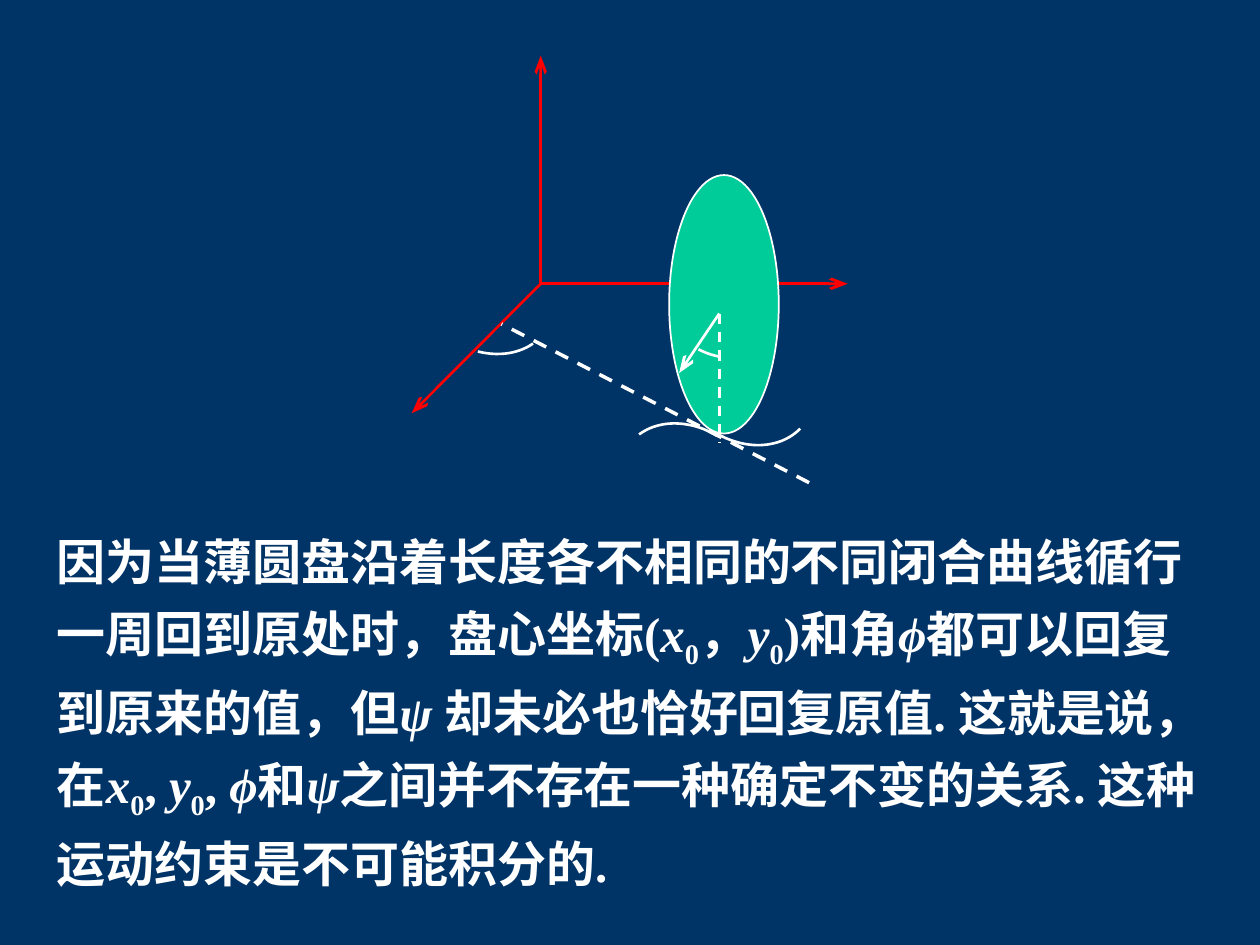
from math import cos, radians, sin

from pptx import Presentation
from pptx.dml.color import RGBColor
from pptx.enum.dml import MSO_LINE
from pptx.enum.shapes import MSO_CONNECTOR, MSO_SHAPE
from pptx.enum.text import MSO_AUTO_SIZE
from pptx.oxml.ns import qn
from pptx.util import Cm, Pt
from lxml.etree import SubElement

NAVY = RGBColor(0x00, 0x33, 0x66)
WHITE = RGBColor(0xFF, 0xFF, 0xFF)
RED = RGBColor(0xFF, 0x00, 0x00)
GREEN = RGBColor(0x00, 0xCC, 0x99)
FONT = "Times New Roman"
STEPS = 24  # segments drawn for each curve

# Axes and disc, in cm from the corner of the figure
ORIGIN = (2.6, 4.6)
AXIS_TIPS = [(8.79, 4.6), (2.6, 0), (0, 7.21)]
DISC = (5.19, 2.41, 2.21, 5.21)
CENTRE = (6.2, 5.2)

# Arcs: rotation, middle of the frame, hub of the arc, cubic control points
ARCS = [
    # angle phi
    (25.7, (1.87, 5.56), (1.58, 4.77),
     [(1.33, 5.97), (1.73, 6.07), (2.14, 6.02), (2.44, 5.81)]),
    # angle psi
    (47.7, (6.13, 5.47), (6.2, 4.75),
     [(5.77, 5.92), (5.9, 5.99), (6.05, 6.04), (6.2, 6.07)]),
    # track behind the disc
    (213.1, (5.28, 7.81), (5.52, 8.68),
     [(6.15, 7.67), (5.62, 7.34), (4.98, 7.34), (4.58, 7.64)]),
    # track ahead of the disc
    (26.9, (7.05, 7.4), (6.79, 6.6),
     [(6.1, 7.59), (6.69, 7.95), (7.4, 7.95), (7.83, 7.52)]),
]

# Runs of the paragraph with their style
PLAIN, ITALIC, SUB = "plain", "italic", "sub"
SENTENCE = [
    ("因为当薄圆盘沿着长度各不相同的不同闭合曲线循行一周回到原处时，盘心坐标(", PLAIN),
    ("x", ITALIC), ("0", SUB), ("，", PLAIN), ("y", ITALIC), ("0", SUB),
    (")和角", PLAIN), ("ϕ", ITALIC), ("都可以回复到原来的值，但", PLAIN),
    ("ψ ", ITALIC), ("却未必也恰好回复原值. 这就是说，在", PLAIN),
    ("x", ITALIC), ("0", SUB), (", ", PLAIN), ("y", ITALIC), ("0", SUB),
    (", ", PLAIN), ("ϕ", ITALIC), ("和", PLAIN), ("ψ", ITALIC),
    ("之间并不存在一种确定不变的关系. 这种运动约束是不可能积分的.", PLAIN),
]


def add_line(page, corner, start, end, color, width=1.5, dashed=False, arrow=False):
    left, top = corner
    line = page.shapes.add_connector(
        MSO_CONNECTOR.STRAIGHT,
        Cm(left + start[0]), Cm(top + start[1]), Cm(left + end[0]), Cm(top + end[1]))
    line.line.color.rgb = color
    line.line.width = Pt(width)
    if dashed:
        line.line.dash_style = MSO_LINE.DASH
    if arrow:
        SubElement(line.line._get_or_add_ln(), qn("a:tailEnd"), type="arrow", len="lg")
    SubElement(line._element.spPr, qn("a:effectLst"))


def curve_point(controls, t):
    weights = ((1 - t) ** 3, 3 * t * (1 - t) ** 2, 3 * t ** 2 * (1 - t), t ** 3)
    return [sum(w * point[axis] for w, point in zip(weights, controls)) for axis in (0, 1)]


def add_arc(page, corner, angle, middle, hub, controls):
    turn = radians(angle)

    def unturned(point):
        """Place a point as it lies before the shape is rotated."""
        x, y = point[0] - middle[0], point[1] - middle[1]
        return (Cm(corner[0] + middle[0] + x * cos(turn) + y * sin(turn)),
                Cm(corner[1] + middle[1] - x * sin(turn) + y * cos(turn)))

    points = [unturned(curve_point(controls, step / STEPS)) for step in range(STEPS + 1)]
    # The hub belongs to the frame, so the arc turns about the middle
    builder = page.shapes.build_freeform(*unturned(hub))
    builder.move_to(*points[0])
    builder.add_line_segments(points[1:], close=False)
    arc = builder.convert_to_shape()
    arc.rotation = angle
    arc.shadow.inherit = False
    arc.fill.background()
    arc.line.color.rgb = WHITE
    arc.line.width = Pt(1.5)


def add_figure(page, left, top):
    corner = (left, top)
    # Coordinate axes
    for tip in AXIS_TIPS:
        add_line(page, corner, ORIGIN, tip, RED, arrow=True)
    # Rolling disc
    x, y, width, height = DISC
    disc = page.shapes.add_shape(
        MSO_SHAPE.OVAL, Cm(left + x), Cm(top + y), Cm(width), Cm(height))
    disc.shadow.inherit = False
    disc.fill.solid()
    disc.fill.fore_color.rgb = GREEN
    disc.line.color.rgb = WHITE
    disc.line.width = Pt(1)
    # Vertical radius, turning radius and direction of travel
    add_line(page, corner, CENTRE, (6.2, 7.8), WHITE, dashed=True)
    add_line(page, corner, CENTRE, (5.39, 6.4), WHITE, arrow=True)
    add_line(page, corner, (8.01, 8.61), (1.81, 5.41), WHITE, width=2, dashed=True)
    # Angle arcs and track
    for arc in ARCS:
        add_arc(page, corner, *arc)


def add_explanation(page, left, top, width, height):
    box = page.shapes.add_textbox(Cm(left), Cm(top), Cm(width), Cm(height))
    frame = box.text_frame
    frame.word_wrap = True
    frame.auto_size = MSO_AUTO_SIZE.SHAPE_TO_FIT_TEXT
    para = frame.paragraphs[0]
    para.line_spacing = 1.2
    for text, style in SENTENCE:
        span = para.add_run()
        span.text = text
        span.font.name = FONT
        span.font.size = Pt(28)
        span.font.bold = True
        span.font.italic = style == ITALIC
        span.font.color.rgb = WHITE
        if style == SUB:
            span._r.get_or_add_rPr().set("baseline", "-25000")


def main():
    deck = Presentation()
    deck.slide_width, deck.slide_height = Cm(25.4), Cm(19.05)
    page = deck.slides.add_slide(deck.slide_layouts[6])
    page.background.fill.solid()
    page.background.fill.fore_color.rgb = NAVY
    add_explanation(page, 0.9, 10.35, 23.6, 7.37)
    add_figure(page, 8.3, 1.12)
    deck.save("out.pptx")


if __name__ == "__main__":
    main()
